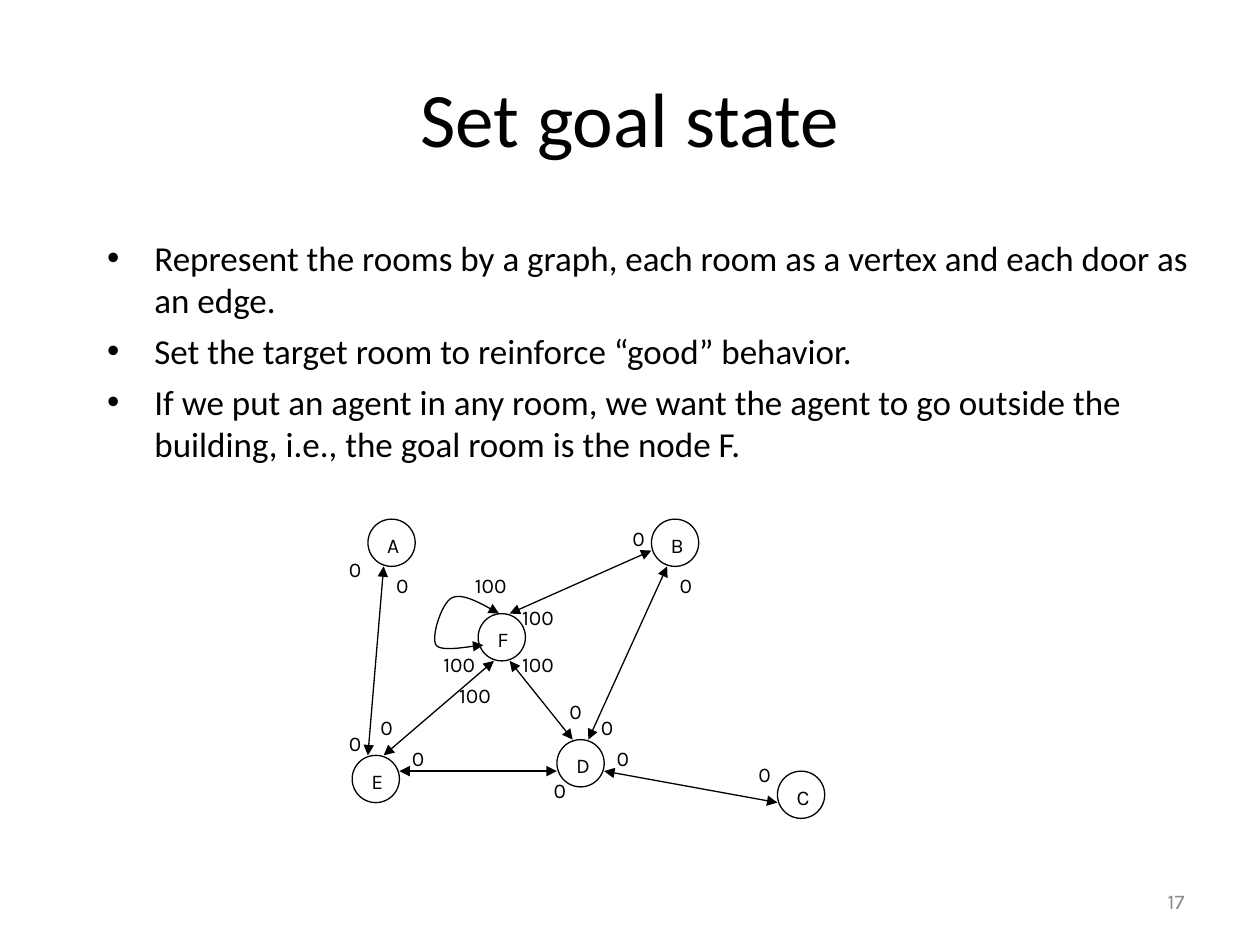
from pptx import Presentation
from pptx.dml.color import RGBColor
from pptx.enum import shapes, text
from pptx.oxml import parse_xml
from pptx.oxml.ns import nsdecls
from pptx.util import Inches, Pt

BLACK = RGBColor(0x00, 0x00, 0x00)
WHITE = RGBColor(0xFF, 0xFF, 0xFF)
GRAY = RGBColor(0x89, 0x89, 0x89)

BULLETS = [
    "Represent the rooms by a graph, each room as a vertex and each door as an edge.",
    "Set the target room to reinforce “good” behavior.",
    "If we put an agent in any room, we want the agent to go outside the building, "
    "i.e., the goal room is the node F.",
]

# Graph positions are (column, row) on a grid of eighths of an inch.
CELL = 0.125
ROOM_SIZE = (3, 3)
REWARD_SIZES = {"0": (3, 3), "100": (4, 2)}
REWARDS = {
    "0": [(3, 3), (0, 2), (0, 13), (2, 12), (4, 14), (13, 16),
          (14, 11), (16, 12), (17, 14), (26, 15), (21, 3), (18, 0)],
    "100": [(7, 10), (6, 8), (8, 3), (11, 5), (11, 8)],
}
ROOMS = {"A": (2, 0), "E": (1, 15), "B": (20, 0),
         "D": (14, 14), "F": (9, 6), "C": (28, 16)}
DOORS = [((3, 3), (2, 15)), ((3, 15), (10, 9)), ((11, 9), (15, 14)),
         ((11, 6), (20, 2)), ((21, 3), (16, 14)), ((4, 16), (14, 16)),
         ((17, 16), (28, 18))]
LOOP = [(10.33, 6), (9.1, 5.3), (8, 4.67), (7.33, 5), (6.67, 5.33),
        (6, 7.5), (6.33, 8), (6.67, 8.5), (8.83, 8), (9.33, 8)]


def place(sp, box):
    for name, value in zip(("left", "top", "width", "height"), box):
        setattr(sp, name, Inches(value))


def style(p, **formats):
    color = formats.pop("color", BLACK)
    for name, value in formats.items():
        setattr(p.font, name, value)
    p.font.color.rgb = color


def set_frame(tf, anchor):
    for name, value in {"word_wrap": True, "auto_size": text.MSO_AUTO_SIZE.NONE,
                        "vertical_anchor": anchor}.items():
        setattr(tf, name, value)


def add_title(s, box):
    sp = s.shapes.title
    place(sp, box)
    set_frame(sp.text_frame, text.MSO_ANCHOR.MIDDLE)
    sp.text_frame.text = "Set goal state"
    p = sp.text_frame.paragraphs[0]
    p.alignment = text.PP_ALIGN.CENTER
    style(p, size=Pt(44), name="Calibri")


def add_bullets(s, box):
    sp = s.placeholders[1]
    place(sp, box)
    tf = sp.text_frame
    set_frame(tf, text.MSO_ANCHOR.TOP)
    tf.text = "\n".join(BULLETS)
    for i, p in enumerate(tf.paragraphs):
        pPr = p._p.get_or_add_pPr()
        pPr.set("marL", str(Inches(0.375)))
        pPr.set("indent", str(-Inches(0.375)))
        p.space_before = Pt(5 if i else 0)
        style(p, size=Pt(20), name="Calibri")


def add_page_number(s, box):
    sp = s.shapes.add_textbox(*map(Inches, box))
    set_frame(sp.text_frame, text.MSO_ANCHOR.MIDDLE)
    p = sp.text_frame.paragraphs[0]
    p.text = "17"
    p.alignment = text.PP_ALIGN.RIGHT
    style(p, size=Pt(12), name="Karla", color=GRAY)


def add_label(s, kind, box, label):
    sp = s.shapes.add_shape(kind, *map(Inches, box))
    sp.shadow.inherit = False
    sp.fill.solid()
    sp.fill.fore_color.rgb = WHITE
    sp.line.fill.background()
    set_frame(sp.text_frame, text.MSO_ANCHOR.TOP)
    p = sp.text_frame.paragraphs[0]
    p.text = label
    p.alignment = text.PP_ALIGN.LEFT
    style(p, size=Pt(12), name="Karla")
    return sp


def outline(sp):
    sp.line.color.rgb = BLACK
    sp.line.width = Pt(0.75)


def add_arrowheads(sp):
    outline(sp)
    ln = sp.line._get_or_add_ln()
    for tag in ("headEnd", "tailEnd"):
        ln.append(parse_xml(f'<a:{tag} {nsdecls("a")} type="triangle"/>'))


def bezier(points, steps=16):
    """Points along a chain of cubic curves that share their end points."""
    curve = [points[0]]
    for i in range(0, len(points) - 1, 3):
        for t in (n / steps for n in range(1, steps + 1)):
            weights = ((1 - t) ** 3, 3 * t * (1 - t) ** 2, 3 * t * t * (1 - t), t ** 3)
            curve.append(tuple(sum(w * p[axis] for w, p in zip(weights, points[i:i + 4]))
                               for axis in (0, 1)))
    return curve


def add_room_graph(s, left, top):
    def at(point):
        return left + point[0] * CELL, top + point[1] * CELL

    def cell_box(point, size):
        return (*at(point), *(n * CELL for n in size))

    for reward, points in REWARDS.items():
        for point in points:
            add_label(s, shapes.MSO_SHAPE.RECTANGLE,
                      cell_box(point, REWARD_SIZES[reward]), reward)
    for room, point in ROOMS.items():
        outline(add_label(s, shapes.MSO_SHAPE.OVAL, cell_box(point, ROOM_SIZE), room))
    for start, end in DOORS:
        door = s.shapes.add_connector(shapes.MSO_CONNECTOR.STRAIGHT,
                                      *map(Inches, at(start) + at(end)))
        add_arrowheads(door)
        door._element.spPr.append(parse_xml(f'<a:effectLst {nsdecls("a")}/>'))

    first, *rest = [tuple(map(Inches, at(point))) for point in bezier(LOOP)]
    builder = s.shapes.build_freeform(*first)
    builder.add_line_segments(rest, close=False)
    loop = builder.convert_to_shape()
    loop.shadow.inherit = False
    loop.fill.background()
    add_arrowheads(loop)


def main():
    prs = Presentation()
    prs.slide_width, prs.slide_height = Inches(10), Inches(7.5)
    s = prs.slides.add_slide(prs.slide_layouts[1])
    add_title(s, (0.5, 0.3, 9, 1.25))
    add_bullets(s, (0.75, 1.83, 8.83, 5.25))
    add_page_number(s, (7.17, 6.95, 2.33, 0.4))
    add_room_graph(s, 2.67, 4.12)
    prs.save("out.pptx")


if __name__ == "__main__":
    main()
